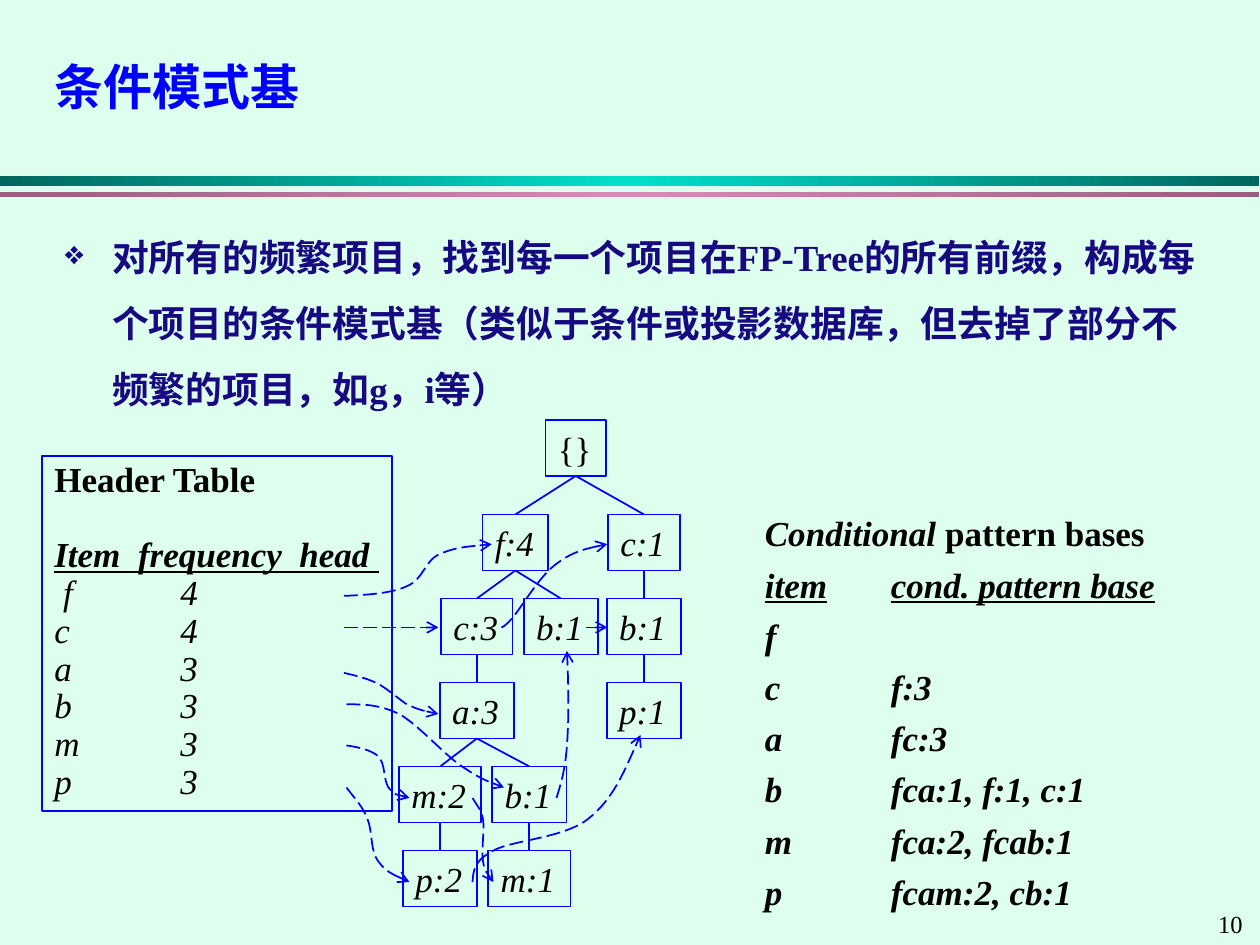
import copy

import pptx
import pptx.dml.color
import pptx.enum.dml
import pptx.enum.shapes
import pptx.enum.text
import pptx.oxml.ns
import pptx.util

Pt = pptx.util.Pt
qn = pptx.oxml.ns.qn
MIDDLE = pptx.enum.text.MSO_ANCHOR.MIDDLE
RECTANGLE = pptx.enum.shapes.MSO_SHAPE.RECTANGLE

THEME = {
    "font": "Times New Roman",
    "background": "DEFEEE", "blue": "0000FF", "navy": "170981", "black": "000000",
    "teal": ("00675D", "00DFCA"), "pink": ("965F7F", "D989B8"),
    "title": 28, "body": 21, "label": 20, "page": 14,
}

# Content: a paragraph is a list of (text, styles), styles from b, i, u
TITLE = [[("条件模式基", "b")]]
BODY = [[("对所有的频繁项目，找到每一个项目在FP-Tree的所有前缀，构成每个项目的条件模式基"
          "（类似于条件或投影数据库，但去掉了部分不频繁的项目，如g，i等）", "b")]]
PAGE = [[("10", "")]]
FREQUENCIES = [(" f", 4), ("c", 4), ("a", 3), ("b", 3), ("m", 3), ("p", 3)]
HEADER_TABLE = [[("Header Table", "b")], [("Item  frequency  head ", "biu")]]
HEADER_TABLE += [[(f"{item}\t{count}", "i")] for item, count in FREQUENCIES]
BASES = [("f", ""), ("c", "f:3"), ("a", "fc:3"), ("b", "fca:1, f:1, c:1"),
         ("m", "fca:2, fcab:1"), ("p", "fcam:2, cb:1")]
PATTERN_BASES = [
    [("Conditional ", "bi"), ("pattern bases", "b")],
    [("item", "biu"), ("\t", "bi"), ("cond. pattern base", "biu")],
]
PATTERN_BASES += [[(f"{item}\t{base}" if base else item, "bi")] for item, base in BASES]
COLUMN_TAB = 72

# Tree: label, centre x, level, index of parent
NODES = [
    ("{}", 329, 0, None),
    ("f:4", 294.5, 1, 0), ("c:1", 368, 1, 0),
    ("c:3", 272.5, 2, 1), ("b:1", 320.5, 2, 1), ("b:1", 368, 2, 2),
    ("a:3", 272.5, 3, 3), ("p:1", 368, 3, 5),
    ("m:2", 251.5, 4, 6), ("b:1", 302.5, 4, 6),
    ("p:2", 251.5, 5, 8), ("m:1", 302.5, 5, 9),
]
NODE_WIDTHS = {"{": 34.5, "f": 37.5, "c": 41, "a": 42.5, "b": 42.5, "p": 42.5, "m": 47}
NODE_HEIGHT = 32

# Node links: start point, then two control points and an end point per curve
CURVED_LINKS = [
    [(196.5, 340.5), (210, 340), (224, 339), (232.5, 335), (242, 331), (242.5, 321),
     (250.5, 317), (259, 313), (270, 312), (281, 311)],
    [(286.5, 358.5), (287, 358.5), (288, 358.5), (293, 353), (298, 347), (308, 330),
     (317, 323), (326, 316), (336, 313), (347, 311)],
    [(196.5, 384.5), (203, 386), (209, 387.5), (214.5, 390), (221, 393), (227, 399),
     (232.5, 402.5), (239, 405.5), (245, 407), (250.5, 408)],
    [(198, 402.5), (207.5, 402.5), (216.5, 402.5), (228, 408), (239, 414), (254, 431.5),
     (264, 438), (274.5, 445), (281, 447.5), (288, 450)],
    [(318, 456), (320.5, 448), (323, 440), (324, 426), (325, 412), (325, 392.5), (324, 372)],
    [(198, 426), (205, 427), (211.5, 428.5), (216, 432), (220.5, 436.5), (219, 445.5),
     (222, 450), (225.5, 454.5), (229.5, 455), (234, 456)],
    [(270, 456), (272, 459.5), (275, 462.5), (276, 468), (277, 474), (275, 486),
     (276, 492), (277, 498), (279.5, 501), (282, 504)],
    [(198, 450), (202.5, 456), (207.5, 461), (210, 468), (213, 475), (211.5, 486),
     (216, 492), (220.5, 498), (227, 501), (234, 504)],
    [(270, 504), (270.5, 498), (270.5, 492), (282, 486), (293, 480), (322, 479),
     (336, 468), (350, 457), (358, 438), (366, 420)],
]
STRAIGHT_LINKS = [((196.5, 358.5), (250.5, 358.5)), ((335, 358.5), (347, 358.5))]


def rgb(value):
    return pptx.dml.color.RGBColor.from_string(value)


def element(content, children=""):
    tag = content.split()[0]
    namespace = pptx.oxml.ns.nsdecls("a")
    return pptx.oxml.parse_xml(f"<a:{content} {namespace}>{children}</a:{tag}>")


def write(shape, paragraphs, size, color="black", spacing=1.0, wrap=True, anchor=None, tab=None):
    frame = shape.text_frame
    frame.word_wrap = wrap
    frame.vertical_anchor = anchor or pptx.enum.text.MSO_ANCHOR.TOP
    for index, runs in enumerate(paragraphs):
        paragraph = frame.add_paragraph() if index else frame.paragraphs[0]
        paragraph.alignment = pptx.enum.text.PP_ALIGN.LEFT
        paragraph.line_spacing = spacing
        if tab:
            stop = f'<a:tab pos="{Pt(tab)}" algn="l"/>'
            paragraph._p.get_or_add_pPr().append(element("tabLst", stop))
        for text, styles in runs:
            run = paragraph.add_run()
            run.text = text
            font = run.font
            font.name, font.size = THEME["font"], Pt(THEME[size])
            font.color.rgb = rgb(THEME[color])
            font.bold, font.italic, font.underline = (key in styles for key in "biu")
    return frame.paragraphs


def add_text(slide, box, paragraphs, size, **options):
    return write(slide.shapes.add_textbox(*map(Pt, box)), paragraphs, size, **options)


def add_box(slide, box):
    shape = slide.shapes.add_shape(RECTANGLE, *map(Pt, box))
    shape.shadow.inherit = False
    shape.fill.background()
    style_line(shape)
    return shape


def style_line(shape, arrow=False):
    shape.line.color.rgb = rgb(THEME["blue"])
    shape.line.width = Pt(1)
    if arrow:
        shape.line.dash_style = pptx.enum.dml.MSO_LINE.LONG_DASH
        shape._element.spPr.find(qn("a:ln")).append(element('tailEnd type="arrow"'))


def add_line(slide, start, end, arrow=False):
    connector = slide.shapes.add_connector(
        pptx.enum.shapes.MSO_CONNECTOR.STRAIGHT, *map(Pt, (*start, *end)))
    style_line(connector, arrow)
    connector._element.spPr.append(element("effectLst"))


def add_curve(slide, points):
    units = [(x * 100, y * 100) for x, y in points]
    builder = slide.shapes.build_freeform(*units[0], scale=Pt(1) / 100)
    builder.add_line_segments(units[1:], close=False)
    shape = builder.convert_to_shape()
    shape.shadow.inherit = False
    shape.fill.background()
    style_line(shape, arrow=True)
    # Join each three segments into one cubic curve
    segments = list(shape._element.iter(qn("a:lnTo")))
    for first in range(0, len(segments), 3):
        curve = element("cubicBezTo")
        segments[first].addprevious(curve)
        for segment in segments[first:first + 3]:
            curve.append(segment[0])
            segment.getparent().remove(segment)


def add_band(slide, top, height, colors):
    band = add_box(slide, (0, top, 719.5, height))
    band.line.fill.background()
    band.fill.gradient()
    band.fill.gradient_angle = 0
    for stop, color in zip(band.fill.gradient_stops, colors):
        stop.color.rgb = rgb(color)
    stops = band._element.spPr.find(qn("a:gradFill")).find(qn("a:gsLst"))
    stops.append(copy.deepcopy(stops[0]))
    for stop, position in zip(stops, (0, 50000, 100000)):
        stop.set("pos", str(position))


def node_top(level):
    return 246 + 48 * level if level else 240


def main():
    presentation = pptx.Presentation()
    presentation.slide_width, presentation.slide_height = Pt(720), Pt(540)
    slide = presentation.slides.add_slide(presentation.slide_layouts[6])
    slide.background.fill.solid()
    slide.background.fill.fore_color.rgb = rgb(THEME["background"])

    # Bands, page number and title
    add_band(slide, 100.8, 5.6, THEME["teal"])
    add_band(slide, 109.6, 3, THEME["pink"])
    add_text(slide, (689, 516, 31, 24), PAGE, "page", wrap=False)
    add_text(slide, (24, 24, 672, 54), TITLE, "title", color="blue", spacing=0.9, anchor=MIDDLE)

    # Bulleted statement
    body = add_text(slide, (30, 118, 660, 113), BODY, "body", color="navy", spacing=1.5)
    properties = body[0]._p.get_or_add_pPr()
    properties.set("marL", str(Pt(27)))
    properties.set("indent", str(-Pt(27)))
    for content in ('buSzPct val="90000"', 'buChar char="❖"'):
        properties.append(element(content))

    # Conditional pattern bases
    bases = add_text(slide, (430, 289, 262, 252), PATTERN_BASES, "label", tab=COLUMN_TAB)
    for paragraph in bases[1:]:
        paragraph.line_spacing = 0.8
        paragraph.space_before = Pt(10)

    # Tree
    for label, center, level, parent in NODES:
        width = NODE_WIDTHS[label[0]]
        top = node_top(level)
        node = add_box(slide, (center - width / 2, top, width, NODE_HEIGHT))
        style = "" if parent is None else "i"
        write(node, [[(label, style)]], "label", wrap=False, anchor=MIDDLE)
        if parent is not None:
            _, parent_center, parent_level, _ = NODES[parent]
            add_line(slide, (parent_center, node_top(parent_level) + NODE_HEIGHT), (center, top))

    # Header table and its links
    table = add_box(slide, (24, 260.5, 200, 203))
    rows = write(table, HEADER_TABLE, "label", spacing=0.9, tab=COLUMN_TAB)
    rows[1].space_before = Pt(21.5)
    for points in CURVED_LINKS:
        add_curve(slide, points)
    for start, end in STRAIGHT_LINKS:
        add_line(slide, start, end, arrow=True)

    presentation.save("out.pptx")


if __name__ == "__main__":
    main()
